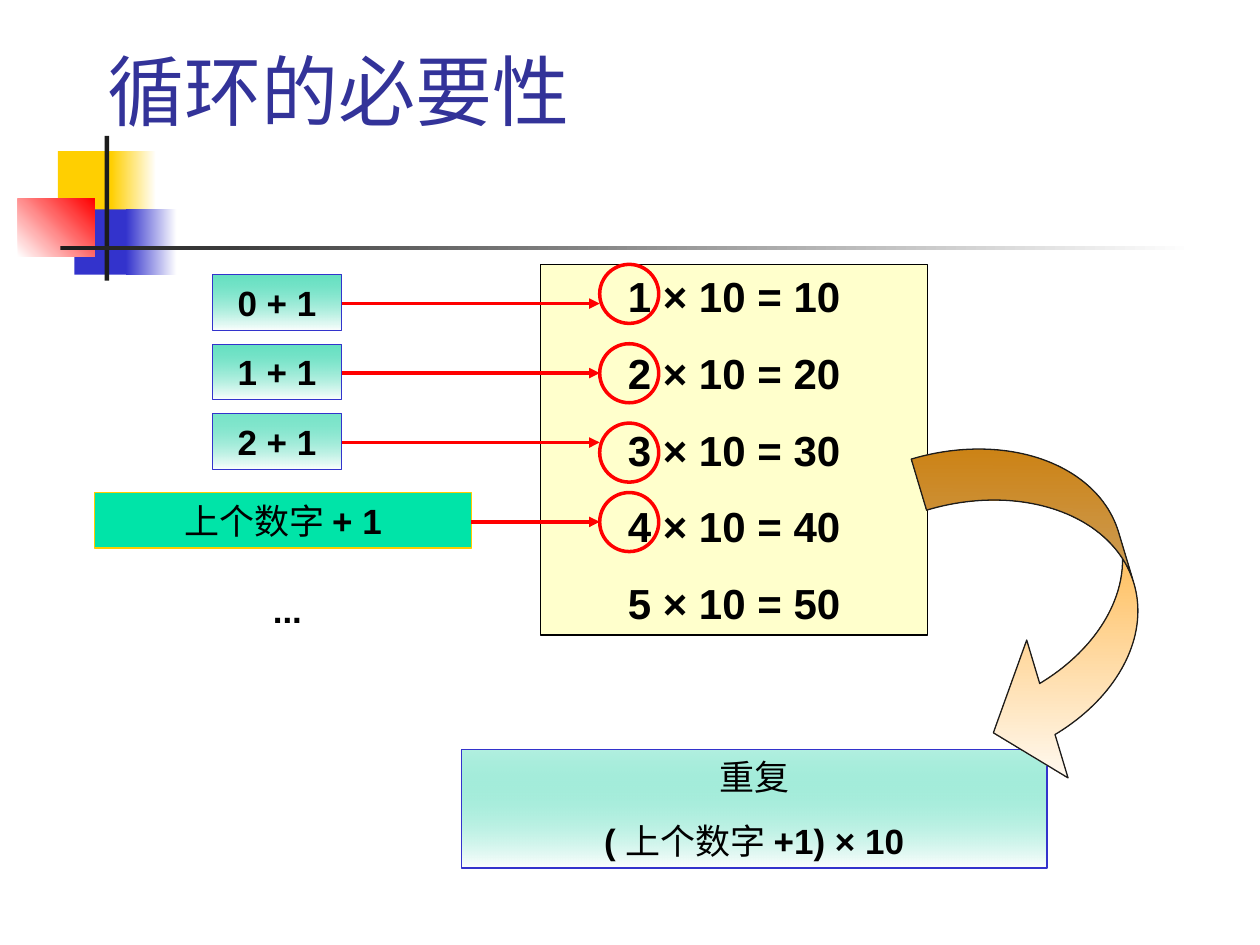
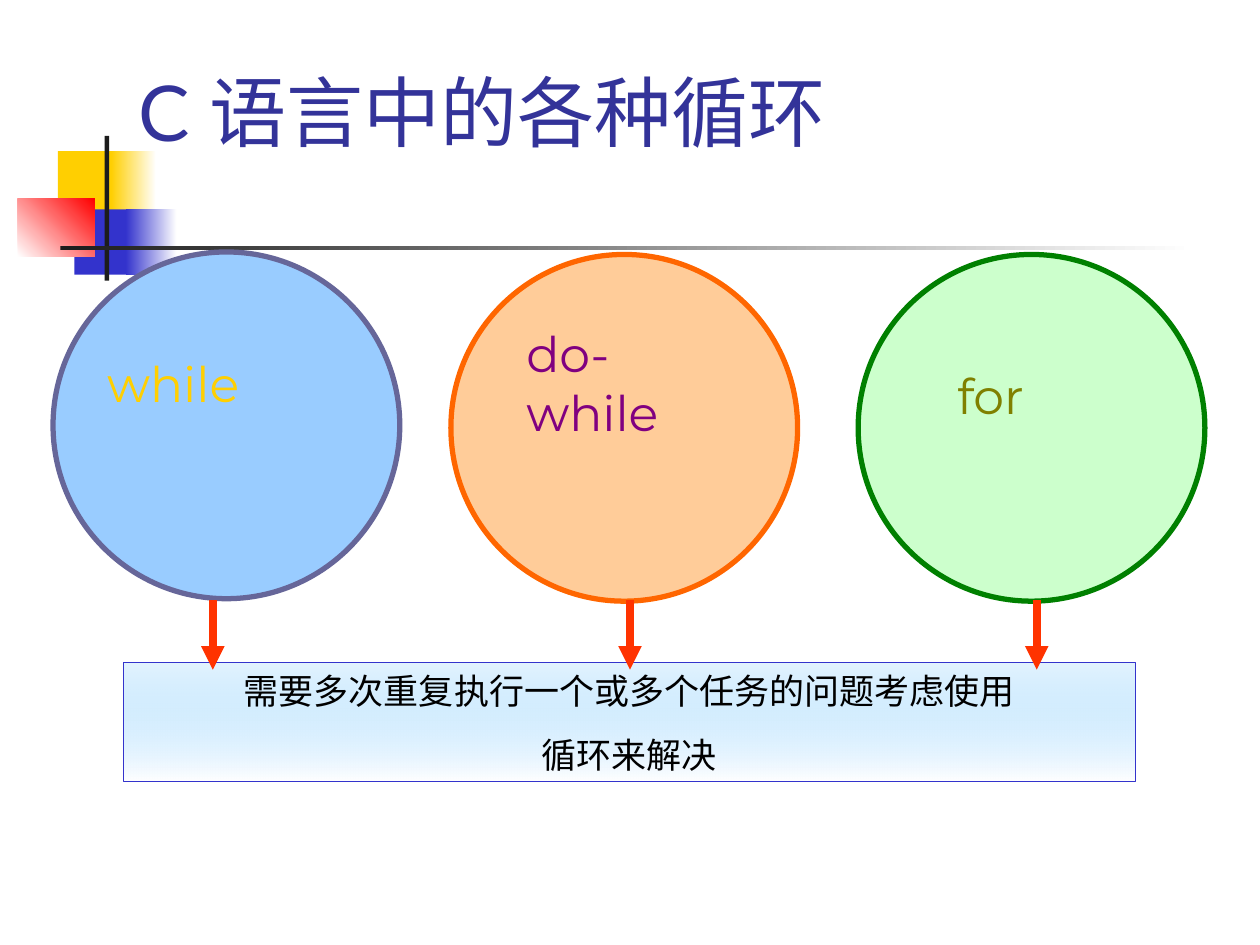
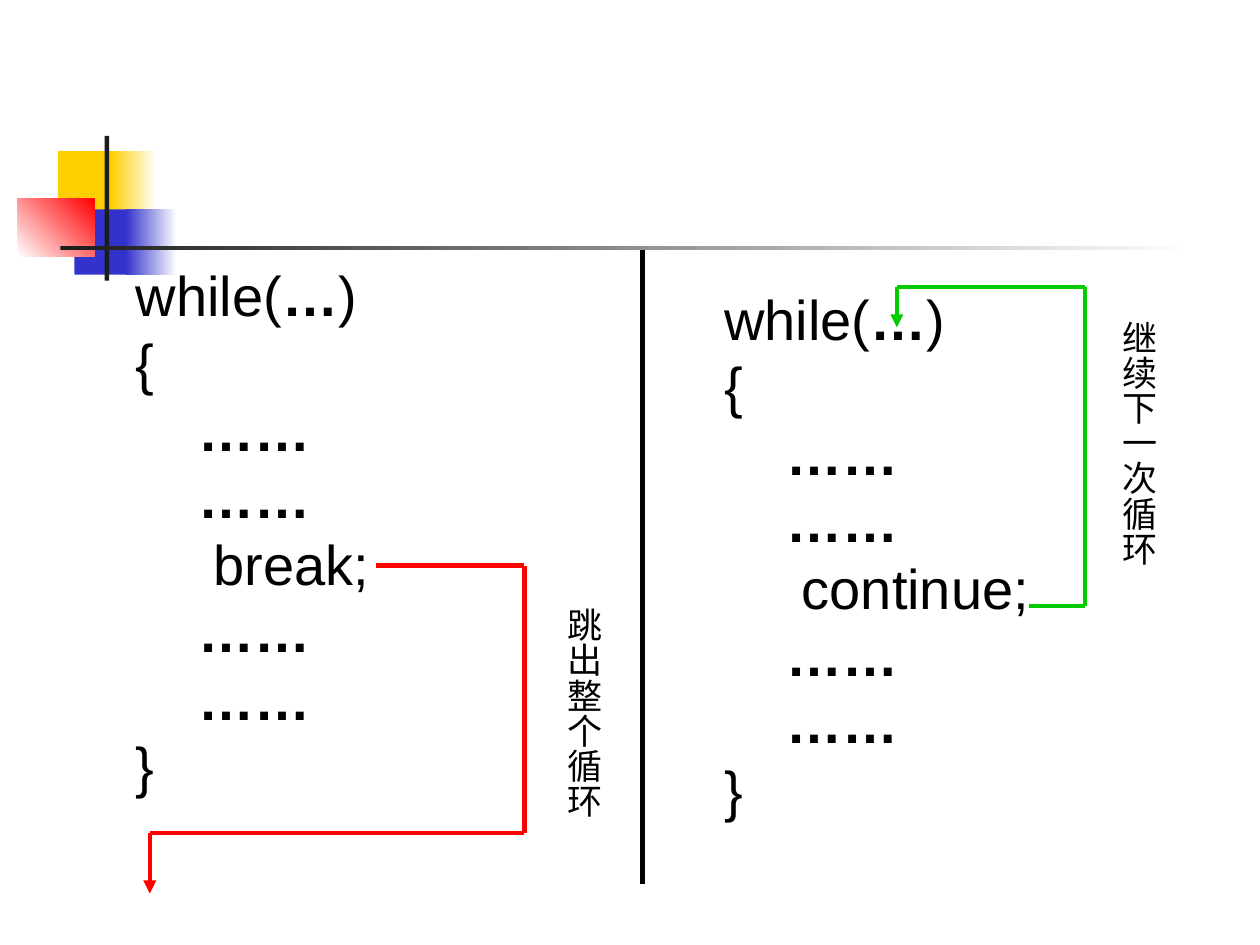
from itertools import pairwise

from lxml.etree import SubElement
from pptx import Presentation
from pptx.dml.color import RGBColor
from pptx.enum.shapes import MSO_CONNECTOR, MSO_SHAPE
from pptx.enum.text import MSO_ANCHOR, MSO_AUTO_SIZE, PP_ALIGN
from pptx.oxml.ns import qn
from pptx.util import Cm, Pt

BLACK, WHITE, INK = "000000", "FFFFFF", "1C1C1C"
YELLOW, BLUE, RED = "FFCF01", "3333CC", "FF0000"
GREEN, TEAL, ORANGE = "00CC00", "00CC99", "FF3300"
TITLE_COLOR = "333399"
TITLE_ONLY, BLANK = 5, 6


def rgb(value):
    return RGBColor.from_string(value)


def set_values(target, values):
    for name, value in values.items():
        setattr(target, name, value)


class Deck:
    frame_format = {
        "margin_left": Cm(0.25),
        "margin_right": Cm(0.25),
        "margin_top": Cm(0.13),
        "margin_bottom": Cm(0.13),
        "vertical_anchor": MSO_ANCHOR.TOP,
        "auto_size": MSO_AUTO_SIZE.NONE,
        "word_wrap": True,
    }
    vertical_format = {
        "margin_left": Cm(0.13),
        "margin_right": Cm(0.13),
        "margin_top": Cm(0.25),
        "margin_bottom": Cm(0.25),
    }

    def __init__(self):
        self.presentation = Presentation()
        set_values(self.presentation, {"slide_width": Cm(25.4), "slide_height": Cm(19.05)})
        self.slide = None

    def add_slide(self, layout=TITLE_ONLY):
        layouts = self.presentation.slide_layouts
        self.slide = self.presentation.slides.add_slide(layouts[layout])
        for box, fill in (
            ((1.17, 3.05, 1.22, 1.32), YELLOW),
            ((2.24, 3.05, 0.91, 1.32), (YELLOW, WHITE, 0)),
            ((1.5, 4.22, 1.17, 1.32), BLUE),
            ((2.54, 4.22, 1.02, 1.32), (BLUE, WHITE, 0)),
            ((0.36, 4.01, 1.55, 1.17), (WHITE, RED, 315)),
            ((2.11, 2.74, 0.09, 2.92), INK),
            ((1.22, 4.95, 22.86, 0.09), (INK, WHITE, 0)),
        ):
            self.shape(box, fill)

    def title(self, text, left, top):
        title = self.slide.shapes.title
        set_values(title, {"left": Cm(left), "top": Cm(top),
                           "width": Cm(22.86), "height": Cm(2.21)})
        self.fill_text(title, [text], size=44, font="Lato", color=TITLE_COLOR)
        title.text_frame.vertical_anchor = MSO_ANCHOR.MIDDLE

    def fill_text(self, shape, lines, size=20, font="Arial", color=BLACK,
                  align=PP_ALIGN.LEFT, gap=0, frame_format=None):
        frame = shape.text_frame
        set_values(frame, self.frame_format | (frame_format or {}))
        for index, line in enumerate(lines):
            paragraph = frame.add_paragraph() if index else frame.paragraphs[0]
            set_values(paragraph, {"alignment": align, "space_before": Pt(gap if index else 0)})
            for position, piece in enumerate(line.split("|")):
                if piece:
                    run = paragraph.add_run()
                    run.text = piece
                    set_values(run.font, {"name": font, "size": Pt(size),
                                          "bold": position % 2 == 1})
                    run.font.color.rgb = rgb(color)

    def shape(self, box, fill=None, line=None, width=0.75, kind=MSO_SHAPE.RECTANGLE, alpha=100):
        shape = self.slide.shapes.add_shape(kind, *map(Cm, box))
        shape.shadow.inherit = False
        if fill is None:
            shape.fill.background()
        elif isinstance(fill, str):
            shape.fill.solid()
            shape.fill.fore_color.rgb = rgb(fill)
        else:
            self.gradient(shape, *fill, alpha)
        if line:
            shape.line.color.rgb = rgb(line)
            shape.line.width = Pt(width)
        else:
            shape.line.fill.background()
        return shape

    def gradient(self, shape, start, end, angle, alpha):
        shape.fill.gradient()
        shape.fill.gradient_angle = (360 - angle) % 360
        for stop, color in zip(shape.fill.gradient_stops, (start, end)):
            stop.color.rgb = rgb(color)
        if alpha < 100:
            first_color = next(shape._element.spPr.iter(qn("a:srgbClr")))
            SubElement(first_color, qn("a:alpha")).set("val", str(alpha * 1000))

    def panel(self, box, lines, fill, line=BLUE, alpha=100, size=20, gap=12.5):
        panel = self.shape(box, fill, line, alpha=alpha)
        self.fill_text(panel, lines, size=size, align=PP_ALIGN.CENTER, gap=gap)

    def circle(self, left, top, size, fill, line, width):
        self.shape((left, top, size, size), fill, line, width, MSO_SHAPE.OVAL)

    def text(self, box, lines, **style):
        shape = self.slide.shapes.add_textbox(*map(Cm, box))
        self.fill_text(shape, lines, **style)
        return shape

    def vertical_text(self, box, line):
        shape = self.text(box, [line], frame_format=self.vertical_format)
        shape._element.txBody.bodyPr.set("vert", "eaVert")

    def line(self, start, end, color, width, arrow=False):
        connector = self.slide.shapes.add_connector(
            MSO_CONNECTOR.STRAIGHT, *map(Cm, (*start, *end)))
        connector.line.color.rgb = rgb(color)
        connector.line.width = Pt(width)
        properties = connector._element.spPr
        if arrow:
            SubElement(properties.find(qn("a:ln")), qn("a:tailEnd")).set("type", "triangle")
        SubElement(properties, qn("a:effectLst"))

    def route(self, points, color):
        for start, end in pairwise(points):
            self.line(start, end, color, 2.5, arrow=end == points[-1])


def loop_need_slide(deck):
    deck.add_slide()
    deck.title("循环的必要性", 1.91, 0.71)
    products = [f"|{number} × 10 = {number * 10}" for number in range(1, 6)]
    deck.panel((10.9, 5.33, 7.8, 7.47), products, "FFFFCC", BLACK, size=24, gap=15)

    ring_left = 12.09
    for index, alpha in enumerate((60, 60, 52)):
        top = 5.54 + 1.4 * index
        deck.panel((4.29, top, 2.59, 1.12), [f"|{index} + 1"], (TEAL, WHITE, 90), alpha=alpha)
        deck.line((6.9, top + 0.58), (ring_left, top + 0.58), RED, 2, arrow=True)
    deck.panel((1.91, 9.93, 7.59, 1.12), ["上个数字 |+ 1"], "00E4A8", "FFCC00")
    deck.line((9.5, 10.52), (ring_left, 10.52), RED, 2, arrow=True)
    for top in (5.33, 6.93, 8.53, 9.93):
        deck.circle(ring_left, top, 1.19, None, RED, 2)

    deck.text((4.5, 11.73, 2.59, 1.12), ["|..."], align=PP_ALIGN.CENTER)
    deck.panel((9.3, 15.11, 11.81, 2.39), ["重复", "|( |上个数字 |+1) × 10"],
               (TEAL, WHITE, 90), alpha=30)
    curved_arrow = deck.shape((19.33, 8.59, 3.58, 7.21), ("FF9900", WHITE, 107), INK,
                              kind=MSO_SHAPE.CURVED_LEFT_ARROW)
    curved_arrow.rotation = 343.3
    for index, value in enumerate((0.3, 0.81, 0.33)):
        curved_arrow.adjustments[index] = value


def loop_kinds_slide(deck):
    deck.add_slide()
    deck.title("C 语言中的各种循环", 2.54, 1.12)
    deck.panel((2.49, 13.36, 20.4, 2.39),
               ["需要多次重复执行一个或多个任务的问题考虑使用", "循环来解决"],
               ("76C7FE", WHITE, 90), alpha=20)
    for left, top, fill, line, arrow_left, label_box, label, color in (
        (1.07, 5.08, "99CCFF", "666699", 4.29, (1.91, 6.99, 5.08, 2.54), ["while"], YELLOW),
        (9.09, 5.13, "FFCC99", "FF6600", 12.7, (10.36, 6.4, 4.65, 3.61),
         ["do-", "while"], "800080"),
        (17.3, 5.13, "CCFFCC", "008000", 20.9, (19.05, 7.24, 3.61, 2.34), ["for"], "808000"),
    ):
        deck.circle(left, top, 6.99, fill, line, 3)
        deck.line((arrow_left, 12.1), (arrow_left, 13.5), ORANGE, 4.5, arrow=True)
        deck.text(label_box, label, size=28, font="Montserrat", color=color,
                  frame_format={"word_wrap": False})


def loop_exit_slide(deck):
    deck.add_slide(BLANK)
    deck.line((12.95, 5.03), (12.95, 17.83), BLACK, 3)
    dots = ["    |……"] * 2
    for left, top, keyword in ((2.49, 5.13, "break"), (14.35, 5.61, "continue")):
        code = ["while(|…|)", "{", *dots, f"     {keyword};", *dots, "}"]
        deck.text((left, top, 7.65, 11.1), code, size=32)
    deck.route([(7.57, 11.4), (10.57, 11.4), (10.57, 16.79), (3.02, 16.79), (3.02, 18.01)], RED)
    deck.route([(20.75, 12.22), (21.87, 12.22), (21.87, 5.79), (18.08, 5.79), (18.08, 6.6)], GREEN)
    deck.vertical_text((10.97, 12.01, 1.35, 5), "跳出整个循环")
    deck.vertical_text((22.17, 6.22, 1.35, 5.79), "继续下一次循环")


def main():
    deck = Deck()
    loop_need_slide(deck)
    loop_kinds_slide(deck)
    loop_exit_slide(deck)
    deck.presentation.save("out.pptx")


if __name__ == "__main__":
    main()
